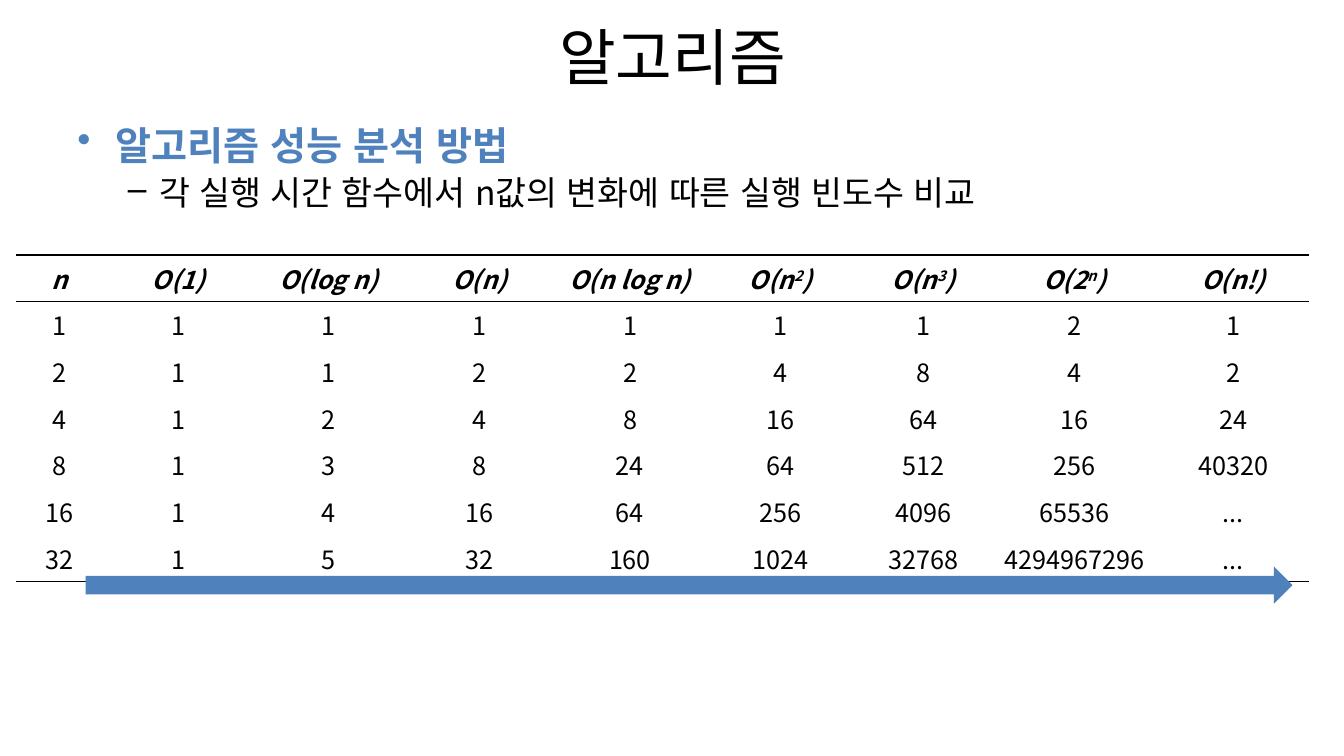
"""Builds a slide comparing how algorithm running-time functions grow with n."""
from lxml import etree
from pptx import Presentation
from pptx.dml.color import RGBColor
from pptx.enum.shapes import MSO_SHAPE
from pptx.enum.text import MSO_ANCHOR, PP_ALIGN
from pptx.oxml.ns import qn
from pptx.util import Inches, Pt

CENTER = PP_ALIGN.CENTER
MIDDLE = MSO_ANCHOR.MIDDLE
RIGHT_ARROW = MSO_SHAPE.RIGHT_ARROW
FONT = "Noto Sans CJK KR"
BLACK, WHITE, BLUE = "000000", "FFFFFF", "4F81BD"
NO_STYLE = "{2D5ABB26-0587-4C30-8999-92F81FD0307C}"

TITLE = "알고리즘"
POINTS = [
    ("알고리즘 성능 분석 방법", "•", 0.38, -0.38, 28, BLUE, True, 0),
    ("각 실행 시간 함수에서 n값의 변화에 따른 실행 빈도수 비교", "–", 0.81, -0.31, 24, BLACK, False, 3),
]
FUNCTIONS = [
    ("n",), ("O(1)",), ("O(log n)",), ("O(n)",), ("O(n log n)",),
    ("O(n", "2", ")"), ("O(n", "3", ")"), ("O(2", "n", ")"), ("O(n!)",),
]
COUNTS = [
    (1, 1, 1, 1, 1, 1, 1, 2, 1),
    (2, 1, 1, 2, 2, 4, 8, 4, 2),
    (4, 1, 2, 4, 8, 16, 64, 16, 24),
    (8, 1, 3, 8, 24, 64, 512, 256, 40320),
    (16, 1, 4, 16, 64, 256, 4096, 65536, "..."),
    (32, 1, 5, 32, 160, 1024, 32768, 4294967296, "..."),
]
COLUMN_SHARES = [0.86, 1.49, 1.49, 1.49, 1.49, 1.49, 1.34, 1.65, 1.49]
TABLE_WIDTH, TABLE_HEIGHT = 12.82, 3.24


def rgb(color):
    return RGBColor.from_string(color)


def add_run(paragraph, text, size, color=BLACK, bold=False, italic=False):
    run = paragraph.add_run()
    run.text = text
    font = run.font
    font.size, font.bold, font.italic = Pt(size), bold, italic
    font.color.rgb = rgb(color)
    font.name = FONT
    properties = run._r.get_or_add_rPr()
    properties.set("lang", "ko-KR")
    properties.set("kern", "1200")
    etree.SubElement(properties, qn("a:ea")).set("typeface", FONT)
    return properties


def add_text_frame(slide, left, top, width, height):
    box = slide.shapes.add_textbox(Inches(left), Inches(top), Inches(width), Inches(height))
    box.text_frame.word_wrap = True
    return box.text_frame


def add_points(slide):
    frame = add_text_frame(slide, 0.67, 1.15, 12.31, 5.67)
    for i, (text, bullet, margin, indent, size, color, bold, before) in enumerate(POINTS):
        point = frame.add_paragraph() if i else frame.paragraphs[0]
        point.level = i
        properties = point._p.get_or_add_pPr()
        properties.set("marL", str(Inches(margin)))
        properties.set("indent", str(Inches(indent)))
        etree.SubElement(properties, qn("a:buChar")).set("char", bullet)
        point.space_before = Pt(before)
        add_run(point, text, size, color, bold)


def add_rule(cell, side):
    rule = etree.Element(qn(f"a:{side}"), w=str(Pt(1)))
    fill = etree.SubElement(rule, qn("a:solidFill"))
    etree.SubElement(fill, qn("a:srgbClr")).set("val", BLACK)
    properties = cell._tc.get_or_add_tcPr()
    properties.insert(len(properties) - 1, rule)


def add_growth_table(slide):
    rows = FUNCTIONS, *COUNTS
    table = slide.shapes.add_table(
        len(rows), len(FUNCTIONS), Inches(0.16), Inches(2.53),
        Inches(TABLE_WIDTH), Inches(TABLE_HEIGHT)).table
    table._tbl.tblPr.find(qn("a:tableStyleId")).text = NO_STYLE
    for column, share in zip(table.columns, COLUMN_SHARES):
        column.width = Inches(TABLE_WIDTH * share / sum(COLUMN_SHARES))
    for r, values in enumerate(rows):
        table.rows[r].height = Inches(TABLE_HEIGHT / len(rows))
        header = r == 0
        for c, value in enumerate(values):
            cell = table.cell(r, c)
            cell.vertical_anchor = MIDDLE
            cell.fill.solid()
            cell.fill.fore_color.rgb = rgb(WHITE)
            paragraph = cell.text_frame.paragraphs[0]
            paragraph.alignment = CENTER
            for i, part in enumerate(value if header else (str(value),)):
                properties = add_run(paragraph, part, 18, bold=header, italic=header)
                if i == 1:
                    properties.set("baseline", "30000")
            if header:
                add_rule(cell, "lnT")
            if r in (0, len(rows) - 1):
                add_rule(cell, "lnB")


def main():
    deck = Presentation()
    deck.slide_width, deck.slide_height = Inches(13.33), Inches(7.5)
    slide = deck.slides.add_slide(deck.slide_layouts[6])

    title = add_text_frame(slide, 0.67, 0.13, 12, 0.85)
    title.vertical_anchor = MIDDLE
    title.paragraphs[0].alignment = CENTER
    add_run(title.paragraphs[0], TITLE, 44)

    add_points(slide)
    add_growth_table(slide)

    growth = slide.shapes.add_shape(
        RIGHT_ARROW, Inches(0.85), Inches(5.62), Inches(11.97), Inches(0.37))
    growth.shadow.inherit = False
    growth.fill.solid()
    growth.fill.fore_color.rgb = rgb(BLUE)
    growth.line.fill.background()

    deck.save("out.pptx")


if __name__ == "__main__":
    main()
